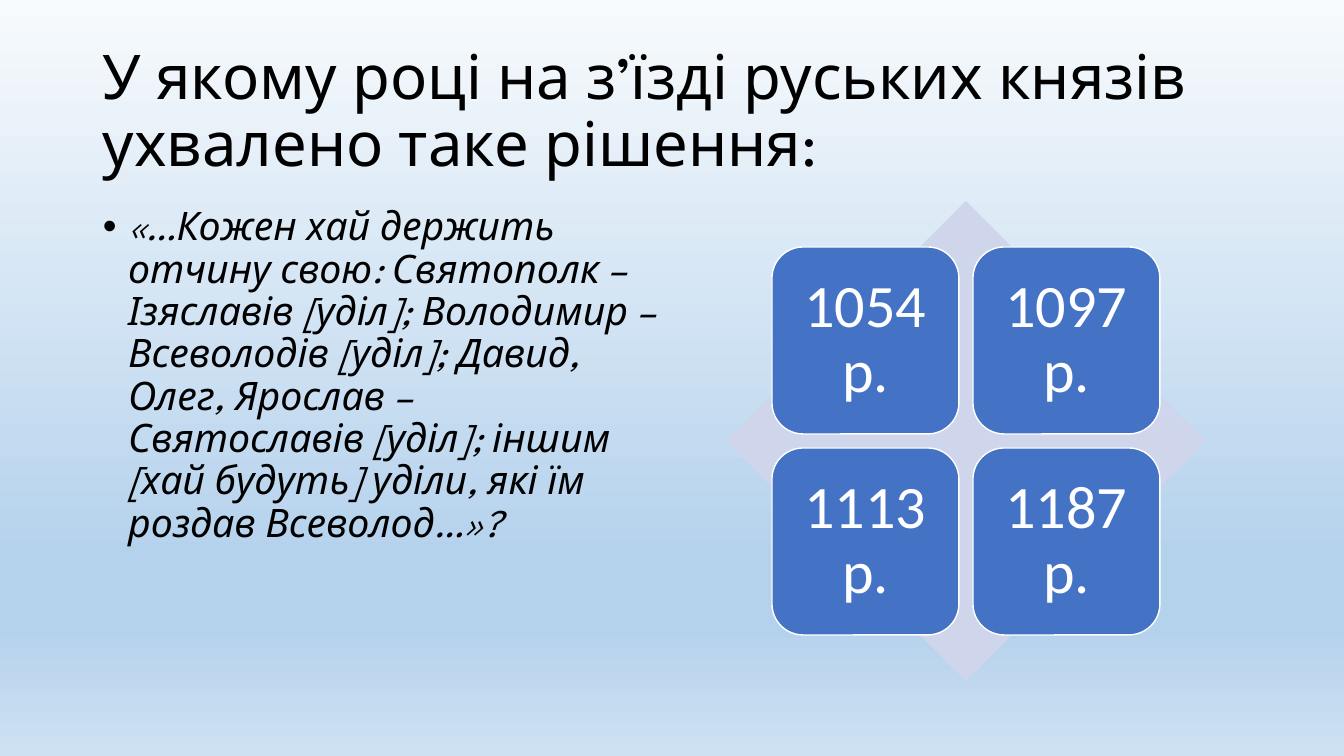
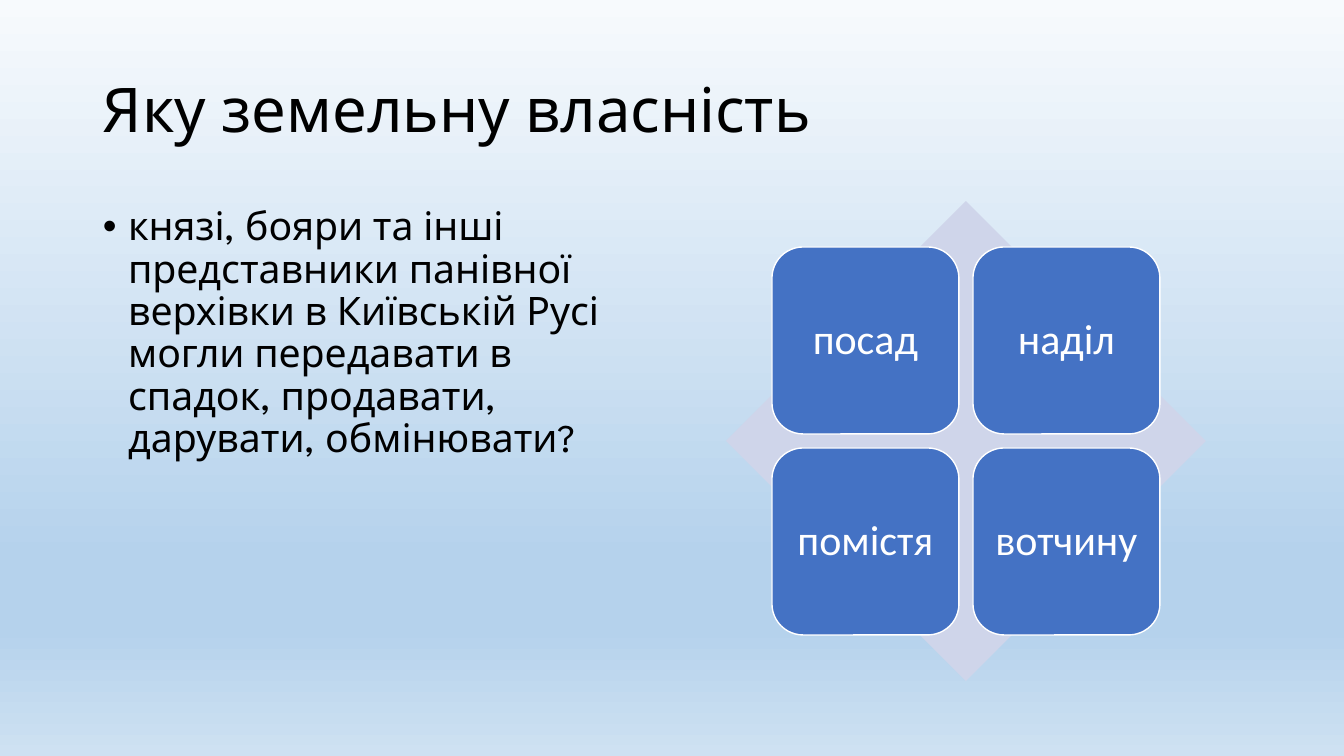
from lxml import etree
from pptx import Presentation
from pptx import util as u
from pptx.dml.color import RGBColor
from pptx.enum import shapes, text
from pptx.oxml.ns import qn

WIDTH, HEIGHT = 1344, 756
SCALE = 12192000 / WIDTH
BACKGROUND = [(0, "F7FAFD"), (74, "B5D2EC"), (83, "B5D2EC"), (100, "CEE1F2")]
BLACK, WHITE, TILE_BLUE, PALE = "000000", "FFFFFF", "4472C4", "CFD5EA"
TEXT_FONT, TILE_FONT = "League Spartan", "Calibri"


def px(length):
    return u.Emu(round(length * SCALE))


def color(code):
    return RGBColor.from_string(code)


class QuizDeck:
    """Holds the shared style and the current slide."""

    def __init__(self):
        self.deck = Presentation()
        self.deck.slide_width, self.deck.slide_height = px(WIDTH), px(HEIGHT)
        self.slide = None

    def add_slide(self):
        self.slide = self.deck.slides.add_slide(self.deck.slide_layouts[6])
        fill = self.slide.background.fill
        fill.gradient()
        fill.gradient_angle = 270
        # Replace the two default stops with the four of the theme
        stops = next(self.slide.element.iter(qn("a:gsLst")))
        for stop in list(stops):
            stops.remove(stop)
        for percent, code in BACKGROUND:
            stop = etree.SubElement(stops, qn("a:gs"), pos=str(percent * 1000))
            etree.SubElement(stop, qn("a:srgbClr"), val=code)

    def style(self, para, size, font, code, italic=False):
        para.line_spacing = 0.9
        for span in para.runs:
            span.font.size = u.Pt(size)
            span.font.name = font
            span.font.italic = italic
            span.font.color.rgb = color(code)

    def text_box(self, left, top, width, height, words):
        box = self.slide.shapes.add_textbox(px(left), px(top), px(width), px(height))
        box.text_frame.word_wrap = True
        box.text_frame.text = words
        return box.text_frame

    def title(self, words):
        frame = self.text_box(93, 40, 1159, 146, words)
        frame.vertical_anchor = text.MSO_ANCHOR.MIDDLE
        self.style(frame.paragraphs[0], 44, TEXT_FONT, BLACK)

    def bullet(self, words, italic):
        para = self.text_box(93, 202, 572, 480, words).paragraphs[0]
        props = para._p.get_or_add_pPr()
        props.set("marL", "228600")
        props.set("indent", "-228600")
        etree.SubElement(props, qn("a:buFont"), typeface="Arial")
        etree.SubElement(props, qn("a:buChar"), char="•")
        self.style(para, 28, TEXT_FONT, BLACK, italic)

    def shape(self, kind, left, top, side, code):
        shape = self.slide.shapes.add_shape(kind, px(left), px(top), px(side), px(side))
        shape.shadow.inherit = False
        shape.fill.solid()
        shape.fill.fore_color.rgb = color(code)
        shape.line.fill.background()
        return shape

    def tile(self, left, top, side, words, size, inset):
        tile = self.shape(shapes.MSO_SHAPE.ROUNDED_RECTANGLE, left, top, side, TILE_BLUE)
        tile.line.color.rgb = color(WHITE)
        tile.line.width = u.Pt(1)
        frame = tile.text_frame
        frame.word_wrap = True
        frame.vertical_anchor = text.MSO_ANCHOR.MIDDLE
        frame.margin_left = frame.margin_right = px(inset)
        frame.margin_top = frame.margin_bottom = px(inset)
        frame.text = words
        para = frame.paragraphs[0]
        para.alignment = text.PP_ALIGN.CENTER
        self.style(para, size, TILE_FONT, WHITE)

    def answers(self, options, size, inset):
        # A diamond with a two-by-two grid of tiles around its centre
        center_x, center_y, diamond, side, gap = 966, 441, 480, 187, 14
        self.shape(shapes.MSO_SHAPE.DIAMOND, center_x - diamond // 2,
                   center_y - diamond // 2, diamond, PALE)
        first = -side - gap // 2
        for index, option in enumerate(options):
            row, column = divmod(index, 2)
            self.tile(center_x + first + column * (side + gap),
                      center_y + first + row * (side + gap),
                      side, option, size, inset)


QUESTIONS = [
    dict(title="У якому році на з’їзді руських князів ухвалено таке рішення:",
         body="«…Кожен хай держить отчину свою: Святополк – Ізяславів [уділ]; "
              "Володимир – Всеволодів [уділ]; Давид, Олег, Ярослав – Святославів "
              "[уділ]; іншим [хай будуть] уділи, які їм роздав Всеволод…»?",
         italic=True, options=["1054 р.", "1097 р.", "1113 р.", "1187 р."],
         size=43, inset=18),
    dict(title="Яку земельну власність",
         body="князі, бояри та інші представники панівної верхівки в Київській Русі "
              "могли передавати в спадок, продавати, дарувати, обмінювати?",
         italic=False, options=["посад", "наділ", "помістя", "вотчину"],
         size=30, inset=12),
]


def main():
    quiz = QuizDeck()
    for question in QUESTIONS:
        quiz.add_slide()
        quiz.title(question["title"])
        quiz.bullet(question["body"], question["italic"])
        quiz.answers(question["options"], question["size"], question["inset"])
    quiz.deck.save("out.pptx")


if __name__ == "__main__":
    main()
